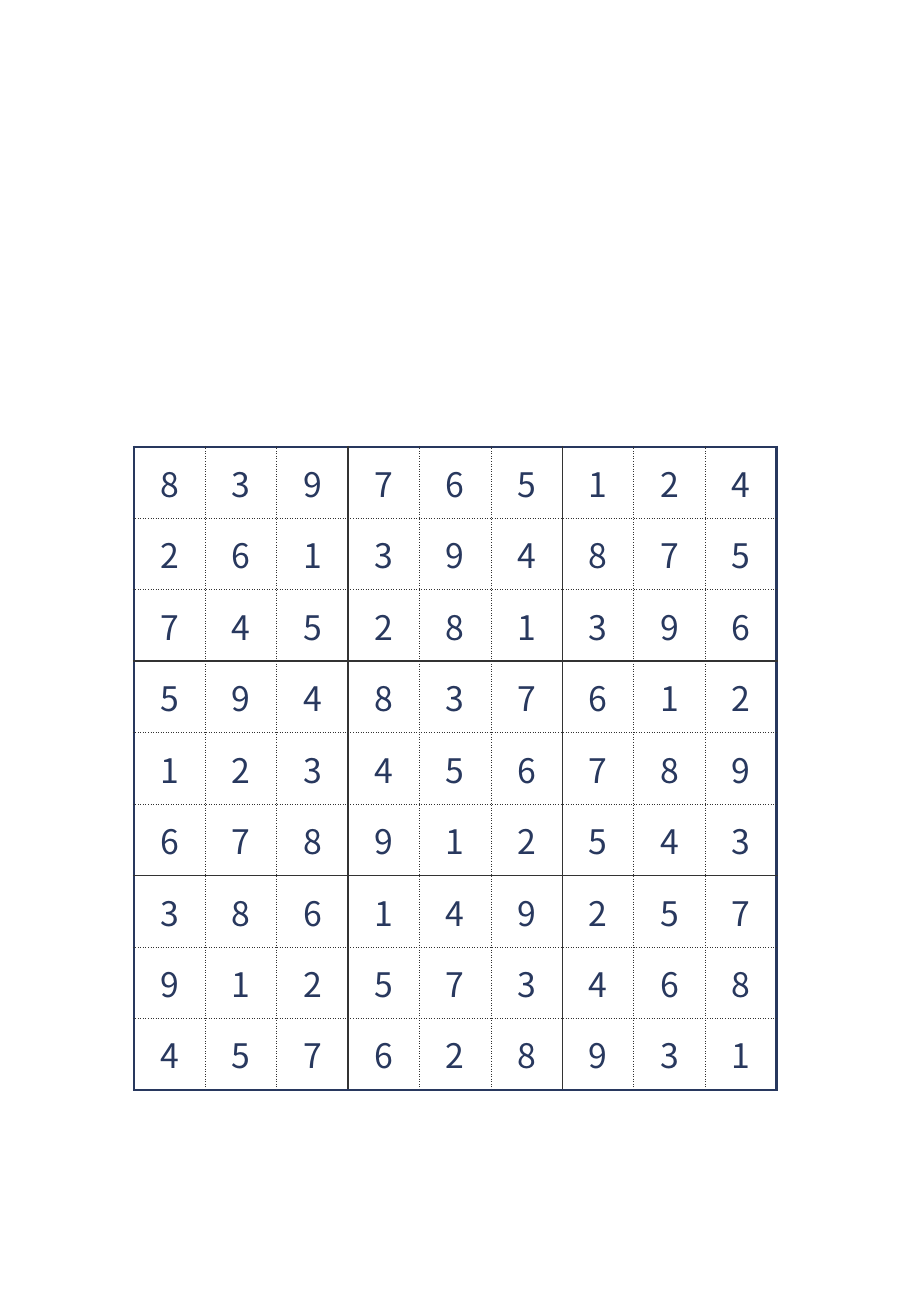
from dataclasses import dataclass
from typing import Optional

from lxml import etree
from pptx import Presentation
from pptx import util as u
from pptx.dml.color import RGBColor
from pptx.enum import text
from pptx.oxml.ns import qn

COLORS = {"navy": "28385E", "gray": "333333"}
FONT = "Noto Sans CJK JP"
DIGITS = """
839765124
261394875
745281396
594837612
123456789
678912543
386149257
912573468
457628931
""".split()
N = len(DIGITS)  # digits per side
BOX = 3  # digits per side of a box
CELLS = N + 2  # one empty cell on each side of the digits


@dataclass(frozen=True)
class Rule:
    color: str
    width: float
    dash: str = "solid"


FRAME = Rule("navy", 1.5)
BOX_RULE = Rule("gray", 1)
CELL_RULE = Rule("gray", 0.5, "dot")


def rule_at(edge: int, across: int) -> Optional[Rule]:
    """Rule on grid line `edge`, beside the row or column `across`."""
    if not (1 <= across <= N and 1 <= edge <= N + 1):
        return None
    if edge in (1, N + 1):
        return FRAME
    return BOX_RULE if (edge - 1) % BOX == 0 else CELL_RULE


def add_border(cell, side: str, rule: Optional[Rule]) -> None:
    ln = etree.SubElement(cell._tc.get_or_add_tcPr(), qn(f"a:ln{side}"))
    if rule is None:
        etree.SubElement(ln, qn("a:noFill"))
        return
    ln.set("w", str(u.Pt(rule.width)))
    fill = etree.SubElement(ln, qn("a:solidFill"))
    etree.SubElement(fill, qn("a:srgbClr"), val=COLORS[rule.color])
    etree.SubElement(ln, qn("a:prstDash"), val=rule.dash)


def style_cell(cell, row: int, col: int) -> None:
    sides = {"L": (col, row), "R": (col + 1, row), "T": (row, col), "B": (row + 1, col)}
    for side, (edge, across) in sides.items():
        add_border(cell, side, rule_at(edge, across))
    cell.fill.background()


def write_digit(cell, digit: str) -> None:
    cell.margin_left = cell.margin_right = cell.margin_top = cell.margin_bottom = 0
    cell.vertical_anchor = text.MSO_ANCHOR.MIDDLE
    p = cell.text_frame.paragraphs[0]
    p.text = digit
    p.alignment = text.PP_ALIGN.CENTER
    p.font.size = u.Pt(20)
    p.font.name = FONT
    p.font.color.rgb = RGBColor.from_string(COLORS["navy"])


def add_sudoku(s, left: int, top: int, size: int) -> None:
    table = s.shapes.add_table(CELLS, CELLS, left, top, size, size).table
    table.first_row = table.horz_banding = False
    for col in table.columns:
        col.width = size // CELLS
    for row in table.rows:
        row.height = size // CELLS
    for r in range(CELLS):
        for c in range(CELLS):
            cell = table.cell(r, c)
            style_cell(cell, r, c)
            if 1 <= r <= N and 1 <= c <= N:
                write_digit(cell, DIGITS[r - 1][c - 1])


def main() -> None:
    prs = Presentation()
    prs.slide_width, prs.slide_height = u.Inches(7.5), u.Inches(10.83)
    s = prs.slides.add_slide(prs.slide_layouts[6])
    size = u.Inches(6.47)
    add_sudoku(s, (prs.slide_width - size) // 2, u.Inches(3.09), size)
    prs.save("out.pptx")


if __name__ == "__main__":
    main()
